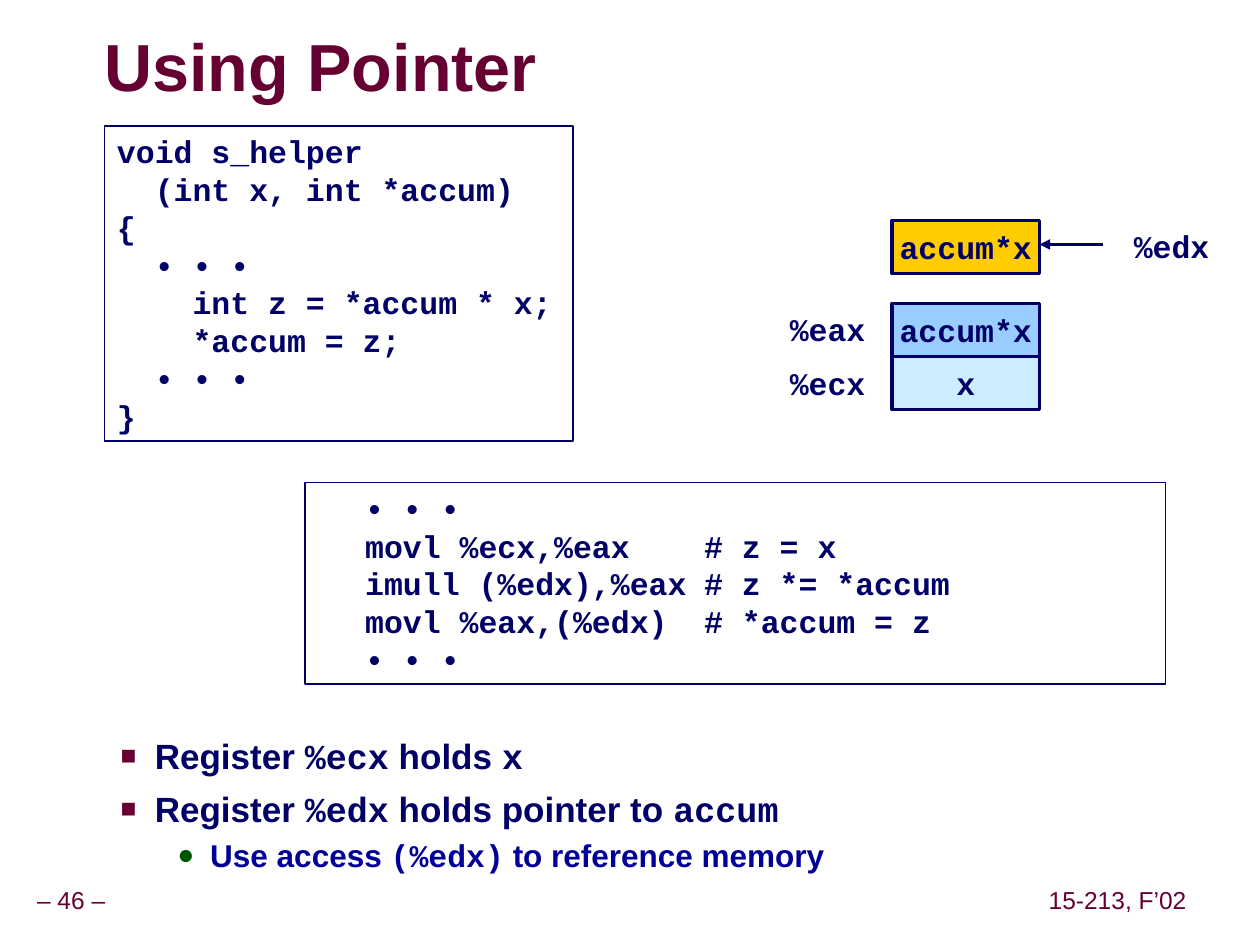
from lxml import etree
from pptx import Presentation
from pptx import util as u
from pptx.dml.color import RGBColor
from pptx.enum import shapes, text
from pptx.oxml import ns

HUES = {"wine": "660033", "navy": "000066", "blue": "000099", "green": "005400",
        "gold": "FFCC00", "sky": "99CCFF", "pale": "CCECFF", "gray": "969696"}
SANS, MONO = "Arial", "Courier New"
LEFT, MID = text.PP_ALIGN.LEFT, text.PP_ALIGN.CENTER
TOP, HALF = text.MSO_ANCHOR.TOP, text.MSO_ANCHOR.MIDDLE


def rgb(name):
    return RGBColor.from_string(HUES[name])


def node(up, tag, **attrs):
    return etree.SubElement(up, ns.qn(tag), attrs)


def mark(par, char, hue, size, left, hang):
    """Give a paragraph a bullet and a hanging indent."""
    prop = par._p.get_or_add_pPr()
    prop.set("marL", str(u.Inches(left)))
    prop.set("indent", str(-u.Inches(hang)))
    node(node(prop, "a:buClr"), "a:srgbClr", val=HUES[hue])
    node(prop, "a:buSzPct", val=str(size * 1000))
    node(prop, "a:buFont", typeface=SANS)
    node(prop, "a:buChar", char=char)


def stops(par, spots):
    tabs = node(par._p.get_or_add_pPr(), "a:tabLst")
    for spot in spots:
        node(tabs, "a:tab", pos=str(u.Inches(spot)), algn="l")


def style(par, line, size, font, hue, bold):
    """Add runs; pieces between backticks are set in the code font."""
    for i, part in enumerate(line.split("`")):
        if part:
            run = par.add_run()
            run.text = part
            run.font.size, run.font.bold = u.Pt(size), bold
            run.font.name = MONO if i % 2 else font
            run.font.color.rgb = rgb(hue)


def write(shape, lines, size=18, font=MONO, hue="navy", bold=True, align=LEFT,
          anchor=TOP, pad=(0.1, 0.05), wrap=False, space=None, tabs=()):
    frame = shape.text_frame
    frame.word_wrap, frame.vertical_anchor = wrap, anchor
    frame.margin_left = frame.margin_right = u.Inches(pad[0])
    frame.margin_top = frame.margin_bottom = u.Inches(pad[1])
    for i, line in enumerate(lines):
        par = frame.add_paragraph() if i else frame.paragraphs[0]
        if tabs:
            stops(par, tabs)
        par.alignment = align
        if space:
            par.line_spacing = space
        style(par, line, size, font, hue, bold)
    return frame


def label(slide, box, line, **form):
    shape = slide.shapes.add_textbox(*map(u.Inches, box))
    return write(shape, [line], **form)


def block(slide, box, lines, fill=None, width=1, **form):
    shape = slide.shapes.add_shape(shapes.MSO_SHAPE.RECTANGLE, *map(u.Inches, box))
    shape.shadow.inherit = False
    if fill:
        shape.fill.solid()
        shape.fill.fore_color.rgb = rgb(fill)
    else:
        shape.fill.background()
    shape.line.color.rgb = rgb("navy")
    shape.line.width = u.Pt(width)
    write(shape, lines, **form)


def title(slide, box, line):
    frame = label(slide, box, line, size=38, font=SANS, hue="wine",
                  anchor=HALF, pad=(0, 0), wrap=True, space=0.87)
    # Soft gray shadow behind the letters
    prop = frame.paragraphs[0].runs[0].font._element
    glow = etree.Element(ns.qn("a:effectLst"))
    cast = node(glow, "a:outerShdw", dist=str(u.Pt(3)), dir="2700000")
    node(cast, "a:srgbClr", val=HUES["gray"])
    prop.find(ns.qn("a:solidFill")).addnext(glow)


def arrow(slide, x1, x2, y):
    line = slide.shapes.add_connector(
        shapes.MSO_CONNECTOR.STRAIGHT, *map(u.Inches, (x1, y, x2, y)))
    line.line.color.rgb = rgb("navy")
    line.line.width = u.Pt(2)
    node(line.line._get_or_add_ln(), "a:tailEnd", type="triangle")
    node(line._element.spPr, "a:effectLst")


def memory(slide, box):
    """Memory cell with its pointer, above the two registers."""
    x, y, w, h = box
    cell_x, cell_w, cell_h = x + 0.91, 1.17, 0.42
    end = cell_x + cell_w
    low = y + h - 2 * cell_h
    cells = [("x", "pale", low + cell_h), ("accum*x", "sky", low),
             ("accum*x", "gold", y)]
    for name, fill, top in cells:
        block(slide, (cell_x, top, cell_w, cell_h), [name], fill=fill, width=2,
              align=MID, anchor=HALF)
    arrow(slide, end + 0.5, end, y + 0.19)
    tags = [("%edx", x + w - 0.8, y), ("%eax", x, low), ("%ecx", x, low + 0.43)]
    for name, left, top in tags:
        label(slide, (left, top, 0.8, 0.4), name)


def notes(slide, box):
    """Bulleted remarks on the registers."""
    frame = slide.shapes.add_textbox(*map(u.Inches, box)).text_frame
    frame.word_wrap = True
    rows = [(1, "Register `%ecx` holds `x`"),
            (1, "Register `%edx` holds pointer to `accum`"),
            (2, "Use access `(%edx)` to reference memory")]
    for i, (level, line) in enumerate(rows):
        par = frame.add_paragraph() if i else frame.paragraphs[0]
        par.level = level
        if level == 1:
            mark(par, "■", "wine", 75, 0.81, 0.27)
            size, hue, gap = 20, "navy", 6.2
        else:
            mark(par, "●", "green", 90, 1.25, 0.26)
            size, hue, gap = 18, "blue", 2.2
            par.line_spacing = 1.07
        par.space_before = u.Pt(gap if i else 0)
        style(par, line, size, SANS, hue, True)


def footer(slide, box):
    x, y, w, h = box
    parts = [("– 46 –", x, 1.31), ("15-213, F’02", x + w - 1.2, 1.2)]
    for line, left, wide in parts:
        label(slide, (left, y, wide, h), line, size=14, font=SANS, hue="wine",
              bold=False, align=MID, anchor=HALF, pad=(0.05, 0.05), space=0.9)


SOURCE = ["void s_helper", "  (int x, int *accum)", "{", "  • • •",
          "    int z = *accum * x;", "    *accum = z;", "  • • •", "}"]
ASSEMBLY = ["\t• • •", "\tmovl %ecx,%eax\t# z = x",
            "\timull (%edx),%eax\t# z *= *accum",
            "\tmovl %eax,(%edx)\t# *accum = z", "\t• • •"]


def main():
    deck = Presentation()
    deck.slide_width, deck.slide_height = u.Inches(10), u.Inches(7.5)
    slide = deck.slides.add_slide(deck.slide_layouts[6])
    footer(slide, (-0.09, 7, 9.56, 0.31))
    title(slide, (0.83, 0.25, 5.86, 0.63), "Using Pointer")
    block(slide, (2.42, 3.83, 6.83, 1.6), ASSEMBLY, wrap=True, tabs=(0.38, 3.07))
    block(slide, (0.83, 1, 3.72, 2.5), SOURCE, wrap=True)
    notes(slide, (0.32, 5.78, 9.09, 1.27))
    memory(slide, (6.17, 1.75, 3.53, 1.5))
    deck.save("out.pptx")


if __name__ == "__main__":
    main()
